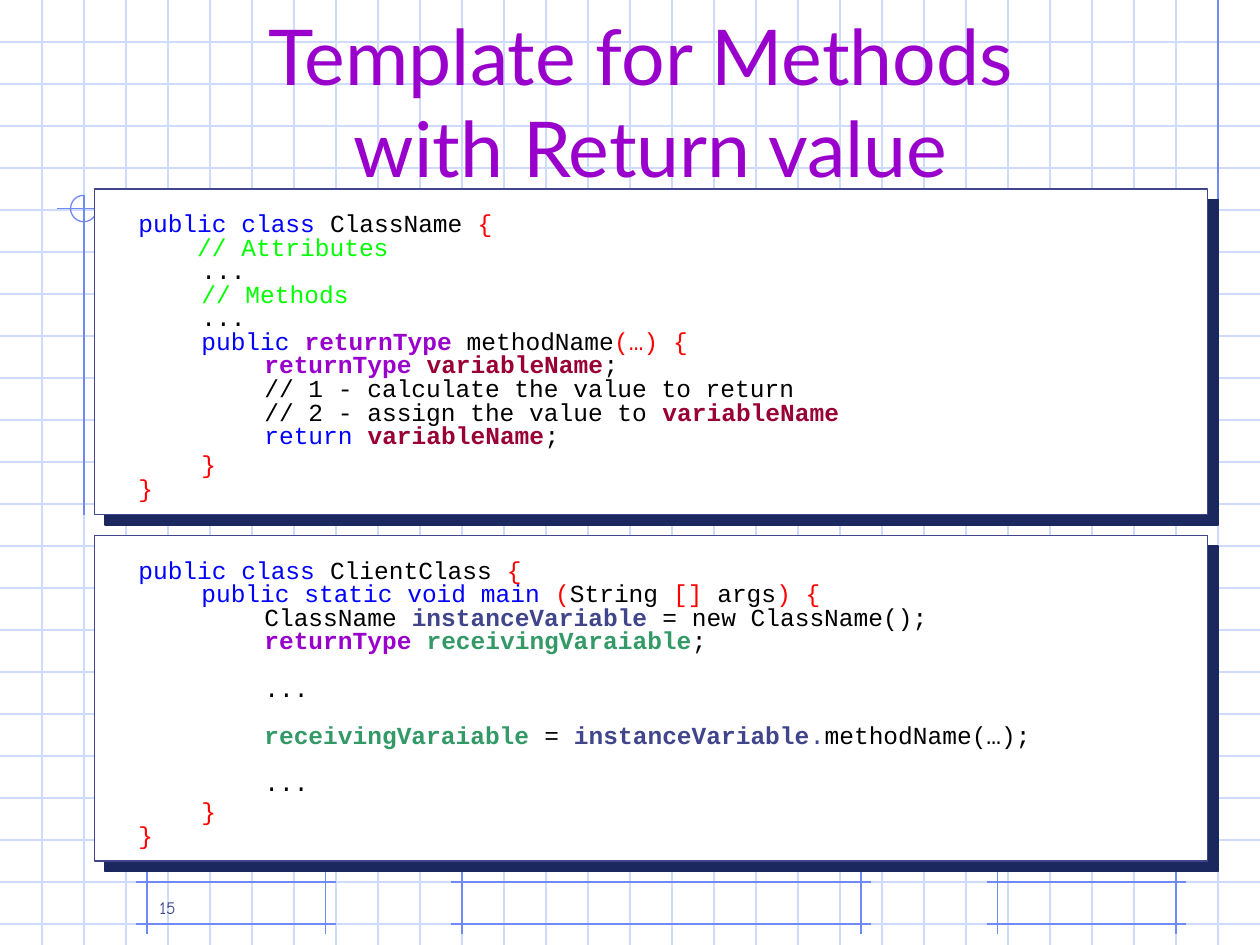
"""Builds the slide on method templates with a return value."""
from dataclasses import dataclass

from lxml.etree import SubElement
from pptx import Presentation
from pptx.dml.color import RGBColor as Rgb
from pptx.enum.shapes import MSO_CONNECTOR as Connector, MSO_SHAPE as Shape
from pptx.enum.text import MSO_ANCHOR as Anchor, PP_ALIGN as Align
from pptx.oxml.ns import qn
from pptx.util import Inches, Pt

COLUMNS, ROWS = 30, 22.5
CELL = Inches(10) / COLUMNS


@dataclass(frozen=True)
class Theme:
    """Colours, fonts and sizes of the slide."""
    paper: str = "FFFFFF"
    grid: str = "CFDBFD"
    guide: str = "6F89F7"
    edge: str = "40458C"
    shadow: str = "1B285F"
    title: str = "9900CC"
    title_font: str = "Lato"
    code_font: str = "Courier New"
    number_font: str = "Comic Neue"
    title_size: int = 44
    code_size: int = 14
    number_size: int = 10
    line_width: float = 0.75
    code_spacing: float = 0.8
    code_gap: float = 13.5


THEME = Theme()
INK = {
    "plain": ("000000", False),
    "keyword": ("0000FF", False),
    "bracket": ("FF0000", False),
    "comment": ("00FF00", False),
    "type": ("9900CC", True),
    "variable": ("990033", True),
    "instance": ("40458C", True),
    "dot": ("40458C", False),
    "receiver": ("339966", True),
}
CLOSING = [
    ({"line_spacing": 1.0}, [("\t}", "bracket")]),
    ({}, [("}", "bracket")]),
]
GAP = {"space_before": Pt(THEME.code_gap)}
CLASS_CODE = [
    ({}, [("public class", "keyword"), (" ClassName ", "plain"), ("{", "bracket")]),
    ({}, [("    // Attributes", "comment")]),
    ({}, [("  \t...", "plain")]),
    ({}, [("\t// Methods", "comment")]),
    ({}, [("\t...", "plain")]),
    ({}, [("\tpublic ", "keyword"), ("returnType", "type"),
          (" methodName", "plain"), ("(…) {", "bracket")]),
    ({}, [("\t\treturnType ", "type"), ("variableName", "variable"), (";", "plain")]),
    ({}, [("\t\t// 1 - calculate the value to return", "plain")]),
    ({}, [("\t\t// 2 - assign the value to ", "plain"), ("variableName", "variable")]),
    ({}, [("\t\treturn ", "keyword"), ("variableName", "variable"), (";", "plain")]),
    *CLOSING,
]
CLIENT_CODE = [
    ({}, [("public class", "keyword"), (" ClientClass ", "plain"), ("{", "bracket")]),
    ({}, [("\tpublic static void main ", "keyword"), ("(", "bracket"),
          ("String ", "plain"), ("[]", "bracket"), (" args", "plain"),
          (") {", "bracket")]),
    ({}, [("\t\tClassName ", "plain"), ("instanceVariable", "instance"),
          (" = new ClassName();", "plain")]),
    ({}, [("\t\treturnType ", "type"), ("receivingVaraiable", "receiver"),
          (";", "plain")]),
    (GAP, [("\t\t...", "plain")]),
    (GAP, [("\t\treceivingVaraiable", "receiver"), (" = ", "plain"),
           ("instanceVariable", "instance"), (".", "dot"),
           ("methodName(…);", "plain")]),
    (GAP, [("\t\t...", "plain")]),
    *CLOSING,
]


def cells(*counts):
    """Turn counts of grid cells into lengths."""
    return [round(count * CELL) for count in counts]


def apply(target, values):
    """Set every attribute named in a dict."""
    for name, value in values.items():
        setattr(target, name, value)


def style_line(line, color):
    """Give a line its colour and the common width."""
    line.color.rgb = Rgb.from_string(color)
    line.width = Pt(THEME.line_width)


def add_line(slide, color, *ends):
    """Draw a straight line between two grid points."""
    line = slide.shapes.add_connector(Connector.STRAIGHT, *cells(*ends))
    style_line(line.line, color)
    SubElement(line._element.spPr, qn("a:effectLst"))


def add_grid(slide):
    """Rule the squared paper."""
    for row in range(1, int(ROWS) + 1):
        add_line(slide, THEME.grid, 0, row, COLUMNS, row)
    for column in range(1, COLUMNS):
        add_line(slide, THEME.grid, column, 0, column, ROWS)


def add_frame(slide, left, right, top=21, bottom=22, overhang=0.25):
    """Draw a footer frame whose sides run past its corners."""
    for row in (top, bottom):
        add_line(slide, THEME.guide, left - overhang, row, right + overhang, row)
    for column in (left, right):
        add_line(slide, THEME.guide, column, top - overhang, column, bottom + overhang)


def add_guides(slide):
    """Draw the footer frames, the margin lines and the corner mark."""
    for left, right in ((11, 20.5), (23.75, 28), (3.5, 7.75)):
        add_frame(slide, left, right)
    add_line(slide, THEME.guide, 29, 0, 29, 7.75)
    add_line(slide, THEME.guide, 7.2, 4.97, 1.35, 4.97)
    add_line(slide, THEME.guide, 2, 4.65, 2, 12.27)
    arc = slide.shapes.add_shape(Shape.ARC, *cells(1.68, 4.65, 0.63, 0.63))
    arc.adjustments[0], arc.adjustments[1] = 0, 162
    arc.shadow.inherit = False
    arc.fill.background()
    style_line(arc.line, THEME.guide)


def add_box(slide, place, anchor=Anchor.TOP):
    """Add a wrapping text frame on the grid."""
    frame = slide.shapes.add_textbox(*cells(*place)).text_frame
    apply(frame, {"word_wrap": True, "vertical_anchor": anchor})
    return frame


def add_span(para, text, color, font, size, bold=False):
    """Append one formatted run to a paragraph."""
    span = para.add_run()
    span.text = text
    apply(span.font, {"name": font, "size": Pt(size), "bold": bold})
    span.font.color.rgb = Rgb.from_string(color)


def add_title(slide, lines):
    """Write the centred title, one run a line."""
    para = add_box(slide, (1, 1, 29, 3.75), Anchor.BOTTOM).paragraphs[0]
    para.alignment = Align.CENTER
    for index, text in enumerate(lines):
        if index:
            para.add_line_break()
        add_span(para, text, THEME.title, THEME.title_font, THEME.title_size)


def add_panel(slide, top):
    """Draw a white panel with a hard shadow."""
    panel = slide.shapes.add_shape(Shape.RECTANGLE, *cells(2.25, top, 26.5, 7.75))
    panel.shadow.inherit = False
    panel.fill.solid()
    panel.fill.fore_color.rgb = Rgb.from_string(THEME.paper)
    style_line(panel.line, THEME.edge)
    effects = panel._element.spPr.find(qn("a:effectLst"))
    shadow = SubElement(effects, qn("a:outerShdw"), dist=str(Pt(8.5)),
                        dir="2700000", algn="ctr", rotWithShape="0")
    SubElement(shadow, qn("a:srgbClr"), val=THEME.shadow)


def add_code(slide, top, listing):
    """Write a coloured code listing on its panel."""
    add_panel(slide, top)
    frame = add_box(slide, (3, top + 0.45, 25.5, 7.75))
    for index, (layout, spans) in enumerate(listing):
        para = frame.add_paragraph() if index else frame.paragraphs[0]
        tabs = SubElement(para._p.get_or_add_pPr(), qn("a:tabLst"))
        for stop in (0.5, 1):
            SubElement(tabs, qn("a:tab"), pos=str(Inches(stop)), algn="l")
        apply(para, {"line_spacing": THEME.code_spacing, **layout})
        for text, role in spans:
            color, bold = INK[role]
            add_span(para, text, color, THEME.code_font, THEME.code_size, bold)


def add_number(slide, number):
    """Write the slide number in the footer."""
    para = add_box(slide, (3.5, 20.5, 6.25, 1.5), Anchor.BOTTOM).paragraphs[0]
    add_span(para, number, THEME.edge, THEME.number_font, THEME.number_size)


def main():
    """Build and save the deck."""
    deck = Presentation()
    deck.slide_width, deck.slide_height = cells(COLUMNS, ROWS)
    slide = deck.slides.add_slide(deck.slide_layouts[6])
    add_grid(slide)
    add_guides(slide)
    add_title(slide, ("Template for Methods ", "with Return value"))
    add_code(slide, 4.5, CLASS_CODE)
    add_code(slide, 12.75, CLIENT_CODE)
    add_number(slide, "15")
    deck.save("out.pptx")


if __name__ == "__main__":
    main()
